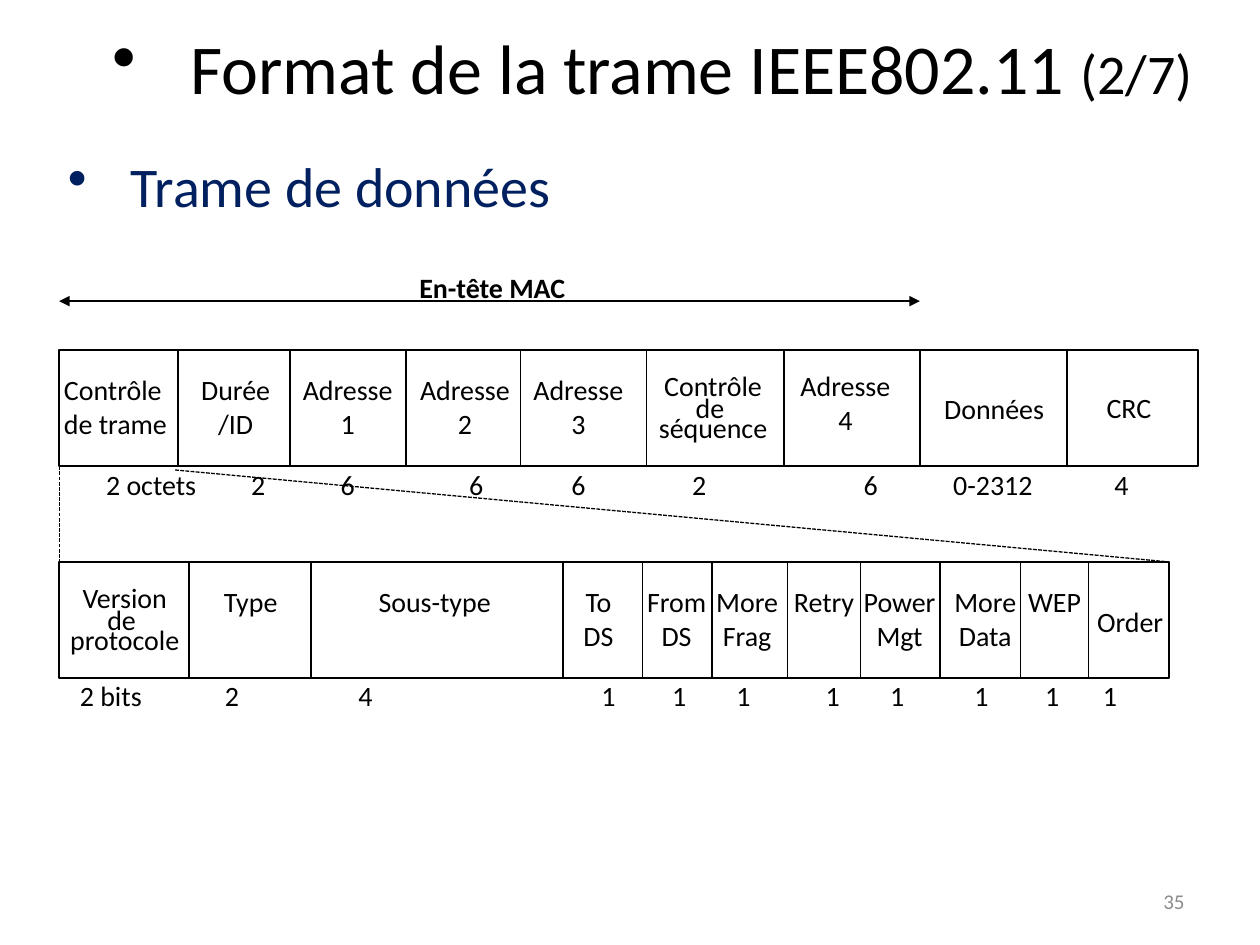
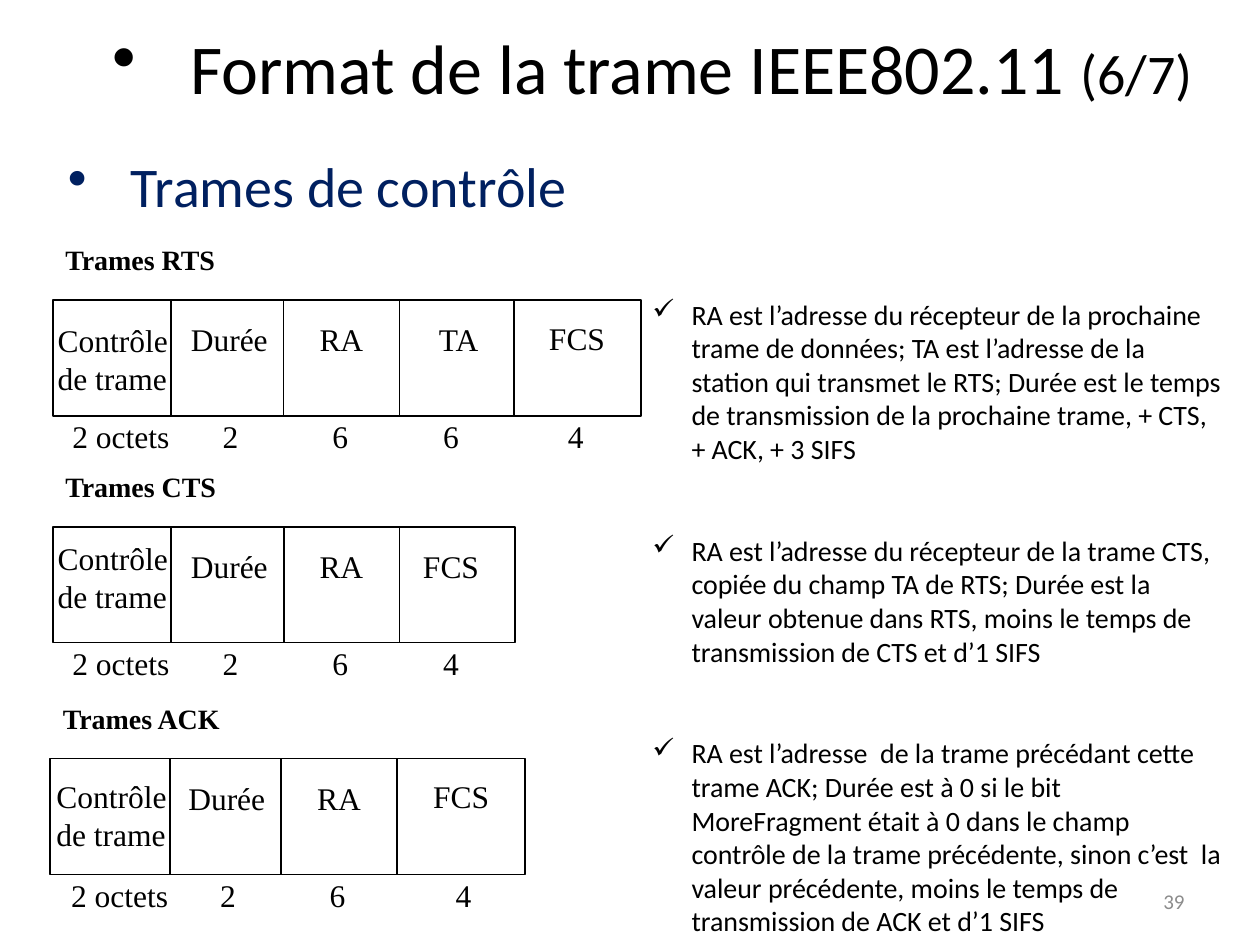
"""Build two slides on the IEEE802.11 frame format."""
from dataclasses import dataclass
from typing import NamedTuple

from pptx import Presentation
from pptx.dml.color import RGBColor
from pptx.enum.dml import MSO_LINE
from pptx.enum.shapes import MSO_CONNECTOR, MSO_SHAPE
from pptx.enum.text import MSO_ANCHOR, PP_ALIGN
from pptx.oxml.ns import qn
from pptx.shapes.autoshape import Shape
from pptx.shapes.connector import Connector
from pptx.slide import Slide
from pptx.text.text import TextFrame, _Paragraph
from pptx.util import Inches, Pt
from lxml.etree import SubElement

COLOURS = {"text": "000000", "heading": "002060", "number": "8C8C8C"}
SANS = "Calibri"
SERIF = "Times New Roman"
FRAME_HEIGHT = 0.92
LABEL_WIDTH = 1.4
LINE_HEIGHT = 0.4
TIGHT_SPACING = 0.6


class Style(NamedTuple):
    """Hold the look of a run."""
    size: float
    font: str = SANS
    colour: str = "text"
    bold: bool = False


class Field(NamedTuple):
    """Describe one field of a frame, in inches from the slide's left edge."""
    right: float
    label: str
    label_center: float
    length: str
    length_center: float
    label_drop: float = 0.13
    align: PP_ALIGN = PP_ALIGN.CENTER


@dataclass(frozen=True)
class Frame:
    """Describe a row of fields."""
    left: float
    top: float
    style: Style
    fields: tuple[Field, ...]
    title: str = ""


NUMBER = Style(12, colour="number")
TITLE = Style(40)
TITLE_PART = Style(32)
HEADING = Style(32, colour="heading")
BODY = Style(16)
MAC_TITLE = Style(16, bold=True)
FRAME_TITLE = Style(16, SERIF, bold=True)
CONTROL = Style(18, SERIF)
LEFT = PP_ALIGN.LEFT

DATA_FRAME = Frame(0.47, 2.78, BODY, (
    Field(1.41, "Contrôle\nde trame", 1.11, "2 octets", 1.2, align=LEFT),
    Field(2.3, "Durée\n/ID", 1.87, "2", 2.05),
    Field(3.22, "Adresse\n1", 2.76, "6", 2.76),
    Field(4.13, "Adresse\n2", 3.69, "6", 3.78),
    Field(5.13, "Adresse\n3", 4.59, "6", 4.59),
    Field(6.22, "Contrôle\nde \nséquence", 5.66, "2", 5.55, 0.1),
    Field(7.3, "Adresse\n4", 6.71, "6", 6.91, 0.1),
    Field(8.47, "Données", 7.89, "0-2312", 7.88, 0.28),
    Field(9.51, "CRC", 8.96, "4", 8.9, 0.27),
))
CONTROL_FIELD = Frame(0.47, 4.46, BODY, (
    Field(1.5, "Version\nde \nprotocole", 0.99, "2 bits", 0.88, 0.1),
    Field(2.47, "Type", 1.99, "2", 1.84),
    Field(4.47, "Sous-type", 3.45, "4", 2.9),
    Field(5.1, "To\nDS", 4.75, "1", 4.83),
    Field(5.65, "From\nDS", 5.37, "1", 5.39),
    Field(6.25, "More\nFrag", 5.93, "1", 5.9),
    Field(6.83, "Retry", 6.54, "1", 6.61),
    Field(7.46, "Power\nMgt", 7.14, "1", 7.12),
    Field(8.1, "More\nData", 7.82, "1", 7.79),
    Field(8.64, "WEP", 8.37, "1", 8.35),
    Field(9.28, "Order", 8.97, "1", 8.81, 0.29),
))
CONTROL_FRAMES = (
    Frame(0.42, 2.38, CONTROL, (
        Field(1.36, "Contrôle\nde trame", 1.06, "2 octets", 0.96, 0.12, LEFT),
        Field(2.25, "Durée", 1.82, "2", 1.83, 0.11),
        Field(3.17, "RA", 2.71, "6", 2.7, 0.11),
        Field(4.08, "TA", 3.64, "6", 3.58, 0.11),
        Field(5.09, "FCS", 4.58, "4", 4.57, 0.1),
    ), "Trames RTS"),
    Frame(0.42, 4.18, CONTROL, (
        Field(1.36, "Contrôle\nde trame", 1.06, "2 octets", 0.96, 0.05, LEFT),
        Field(2.25, "Durée", 1.82, "2", 1.83, 0.11),
        Field(3.17, "RA", 2.71, "6", 2.7, 0.11),
        Field(4.09, "FCS", 3.58, "4", 3.58, 0.11),
    ), "Trames CTS"),
    Frame(0.4, 6.02, CONTROL, (
        Field(1.35, "Contrôle\nde trame", 1.05, "2 octets", 0.95, 0.1, LEFT),
        Field(2.23, "Durée", 1.8, "2", 1.81, 0.11),
        Field(3.15, "RA", 2.69, "6", 2.68, 0.11),
        Field(4.17, "FCS", 3.66, "4", 3.68, 0.1),
    ), "Trames ACK"),
)
NOTES = (
    "RA est l’adresse du récepteur de la prochaine trame de données; TA est "
    "l’adresse de la station qui transmet le RTS; Durée est le temps de "
    "transmission de la prochaine trame, + CTS, + ACK, + 3 SIFS",
    "RA est l’adresse du récepteur de la trame CTS, copiée du champ TA de RTS; "
    "Durée est la valeur obtenue dans RTS, moins le temps de transmission de "
    "CTS et d’1 SIFS",
    "RA est l’adresse  de la trame précédant cette trame ACK; Durée est à 0 si "
    "le bit MoreFragment était à 0 dans le champ contrôle de la trame "
    "précédente, sinon c’est  la valeur précédente, moins le temps de "
    "transmission de ACK et d’1 SIFS",
)


def add_run(paragraph: _Paragraph, text: str, style: Style) -> None:
    """Append a styled run."""
    run = paragraph.add_run()
    run.text = text
    run.font.size = Pt(style.size)
    run.font.name = style.font
    run.font.bold = style.bold
    run.font.color.rgb = RGBColor.from_string(COLOURS[style.colour])


def add_bullet(paragraph: _Paragraph, character: str, indent: float) -> None:
    """Give a paragraph a hanging bullet."""
    properties = paragraph._p.get_or_add_pPr()
    properties.set("marL", str(Inches(indent)))
    properties.set("indent", str(-Inches(indent)))
    SubElement(properties, qn("a:buChar")).set("char", character)


def add_text_frame(slide: Slide, left: float, top: float, width: float, height: float) -> TextFrame:
    """Add an empty wrapping text box."""
    box = slide.shapes.add_textbox(Inches(left), Inches(top), Inches(width), Inches(height))
    box.text_frame.word_wrap = True
    return box.text_frame


def add_text(slide: Slide, text: str, style: Style, left: float, top: float, width: float,
             height: float = LINE_HEIGHT, align: PP_ALIGN = LEFT) -> TextFrame:
    """Add a text box, one paragraph a line, tight after the first of three."""
    text_frame = add_text_frame(slide, left, top, width, height)
    lines = text.split("\n")
    for index, line in enumerate(lines):
        paragraph = text_frame.add_paragraph() if index else text_frame.paragraphs[0]
        paragraph.alignment = align
        if index and len(lines) > 2:
            paragraph.line_spacing = TIGHT_SPACING
        add_run(paragraph, line, style)
    return text_frame


def add_line(slide: Slide, start: tuple[float, float], end: tuple[float, float],
             weight: float = 1) -> Connector:
    """Add a straight black connector."""
    connector = slide.shapes.add_connector(
        MSO_CONNECTOR.STRAIGHT, *(Inches(value) for value in (*start, *end)))
    connector.line.width = Pt(weight)
    connector.line.color.rgb = RGBColor.from_string(COLOURS["text"])
    SubElement(connector.element.spPr, qn("a:effectLst"))
    return connector


def add_outline(slide: Slide, frame: Frame) -> Shape:
    """Add the rectangle around a frame."""
    shape = slide.shapes.add_shape(
        MSO_SHAPE.RECTANGLE, Inches(frame.left), Inches(frame.top),
        Inches(frame.fields[-1].right - frame.left), Inches(FRAME_HEIGHT))
    shape.shadow.inherit = False
    shape.fill.background()
    shape.line.color.rgb = RGBColor.from_string(COLOURS["text"])
    shape.line.width = Pt(1)
    return shape


def draw_frame(slide: Slide, frame: Frame) -> None:
    """Draw a frame with its dividers, labels and lengths."""
    outline = add_outline(slide, frame)
    bottom = frame.top + FRAME_HEIGHT
    middle = (frame.left + frame.fields[-1].right) / 2
    for field in frame.fields[:-1]:
        divider = add_line(slide, (field.right, frame.top), (field.right, bottom))
        if abs(field.right - middle) < 0.01:
            divider.begin_connect(outline, 0)
            divider.end_connect(outline, 2)
    for field in frame.fields:
        add_text(slide, field.label, frame.style, field.label_center - LABEL_WIDTH / 2,
                 frame.top + field.label_drop, LABEL_WIDTH,
                 LINE_HEIGHT + 0.3 * field.label.count("\n"), field.align)
        add_text(slide, field.length, frame.style, field.length_center - LABEL_WIDTH / 2,
                 bottom - 0.04, LABEL_WIDTH, align=PP_ALIGN.CENTER)
    if frame.title:
        add_text(slide, frame.title, FRAME_TITLE, frame.left, frame.top - 0.5, 1.8)


def add_base_slide(presentation: Presentation, part: str, heading: str, number: str) -> Slide:
    """Add a slide with the shared title, heading and number."""
    slide = presentation.slides.add_slide(presentation.slide_layouts[6])
    title = add_text(slide, "Format de la trame IEEE802.11 ", TITLE, 0.71, -0.2, 8.94, 1.45,
                     PP_ALIGN.CENTER)
    title.vertical_anchor = MSO_ANCHOR.MIDDLE
    add_run(title.paragraphs[0], part, TITLE_PART)
    add_bullet(title.paragraphs[0], "•", 0.62)
    subtitle = add_text(slide, heading, HEADING, 0.44, 1.15, 9.07, 0.64)
    add_bullet(subtitle.paragraphs[0], "•", 0.5)
    footer = add_text(slide, number, NUMBER, 7.17, 6.95, 2.33, align=PP_ALIGN.RIGHT)
    footer.vertical_anchor = MSO_ANCHOR.MIDDLE
    return slide


def build_data_slide(presentation: Presentation) -> None:
    """Build the slide on data frames."""
    slide = add_base_slide(presentation, "(2/7)", "Trame de données", "35")
    for frame in (DATA_FRAME, CONTROL_FIELD):
        draw_frame(slide, frame)
    header_span = add_line(slide, (0.47, 2.39), (7.3, 2.39))
    for end in ("a:headEnd", "a:tailEnd"):
        SubElement(header_span.line._get_or_add_ln(), qn(end)).set("type", "triangle")
    add_text(slide, "En-tête MAC", MAC_TITLE, 3.23, 2.1, 1.59)
    for start, end in (((0.47, 3.7), (0.47, 4.56)), ((1.39, 3.73), (9.28, 4.46))):
        zoom_line = add_line(slide, start, end, 0.75)
        zoom_line.line.dash_style = MSO_LINE.SQUARE_DOT


def build_control_slide(presentation: Presentation) -> None:
    """Build the slide on control frames."""
    slide = add_base_slide(presentation, "(6/7)", "Trames de contrôle", "39")
    for frame in CONTROL_FRAMES:
        draw_frame(slide, frame)
    text_frame = add_text_frame(slide, 5.08, 2.31, 4.75, 5.22)
    for index, note in enumerate(NOTES):
        paragraph = text_frame.add_paragraph() if index else text_frame.paragraphs[0]
        paragraph.space_before = Pt(39 if index else 0)
        add_bullet(paragraph, "✓", 0.31)
        add_run(paragraph, note, BODY)


def main() -> None:
    """Build and save the presentation."""
    presentation = Presentation()
    presentation.slide_width = Inches(10)
    presentation.slide_height = Inches(7.5)
    build_data_slide(presentation)
    build_control_slide(presentation)
    presentation.save("out.pptx")


if __name__ == "__main__":
    main()
